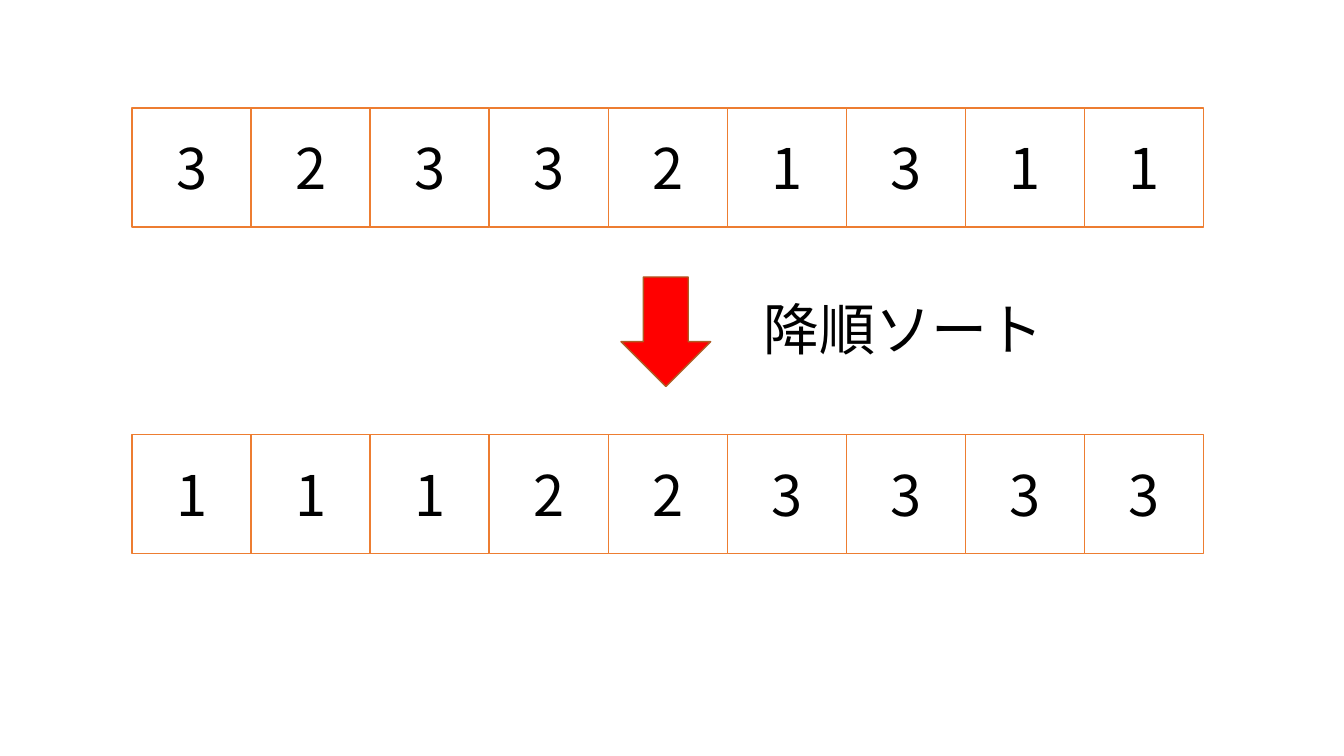
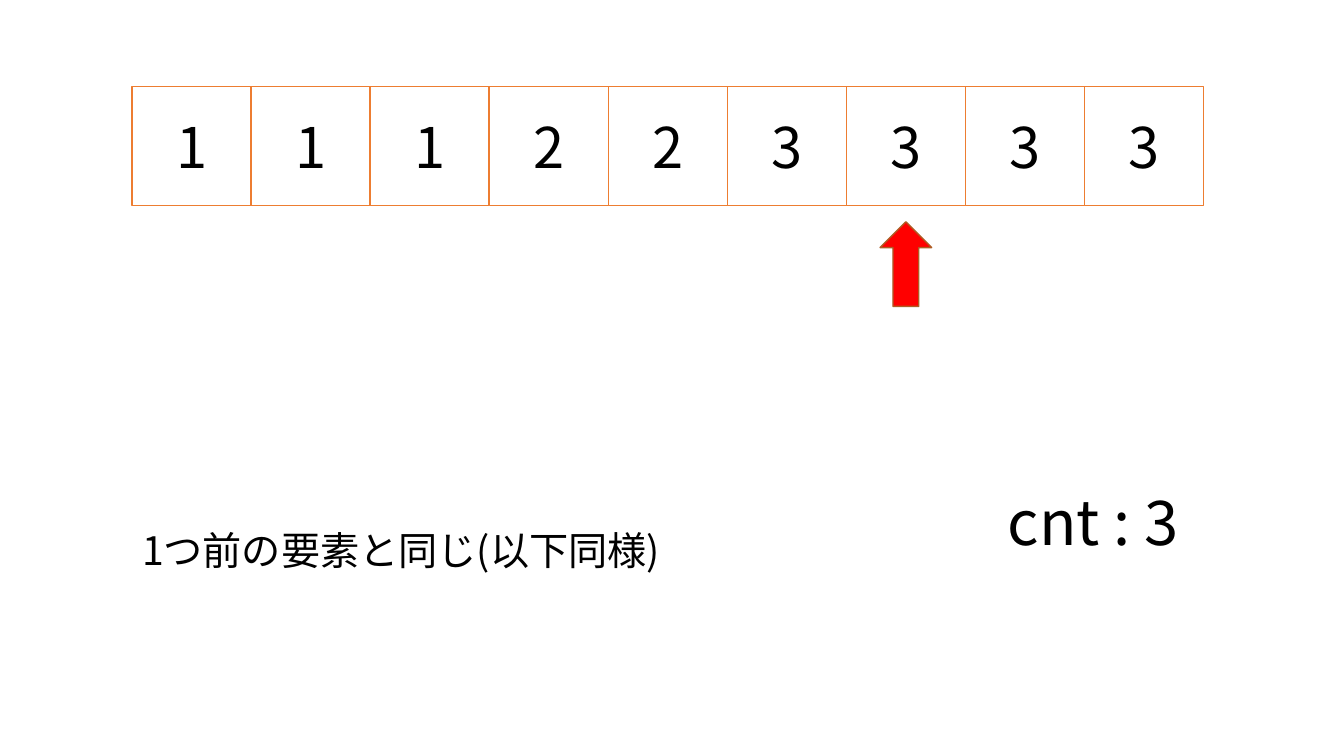
"""Build two slides on sorting an array and counting equal elements."""
from pptx import Presentation
from pptx import util as u
from pptx.dml.color import RGBColor
from pptx.enum import shapes, text

FONT = "Noto Sans CJK JP"
BLACK, WHITE, ORANGE, RED, BROWN = "000000", "FFFFFF", "ED7D31", "FF0000", "AF5C24"
CELL, ROW_LEFT = 3, 3.33
UNSORTED = (3, 2, 3, 3, 2, 1, 3, 1, 1)
SORTED = sorted(UNSORTED)
POINTED = 6
POINTED_CENTER = ROW_LEFT + (POINTED + 0.5) * CELL

SLIDES = [
    {
        "arrays": [(UNSORTED, 2.72), (SORTED, 10.95)],
        "arrows": [("DOWN_ARROW", 16.78, 6.98, 2.26, 2.76)],
        "labels": [("降順ソート", 40, False, (19, 7.29, 7.65, 1.96))],
    },
    {
        "arrays": [(SORTED, 2.18)],
        "arrows": [("UP_ARROW", POINTED_CENTER, 5.59, 1.3, 2.13)],
        "labels": [
            ("cnt : 3", 44, True, (25.15, 12.07, 5.18, 2.13)),
            ("1つ前の要素と同じ(以下同様)", 28, True, (3.33, 13.13, 15.88, 1.45)),
        ],
    },
]


def color(value):
    return RGBColor.from_string(value)


def cm(*lengths):
    return [u.Cm(length) for length in lengths]


def apply(target, formats):
    for key, value in formats.items():
        setattr(target, key, value)


def add_figure(parent, kind, box, fill, line):
    figure = parent.add_shape(getattr(shapes.MSO_SHAPE, kind), *cm(*box))
    figure.shadow.inherit = False
    figure.fill.solid()
    figure.fill.fore_color.rgb = color(fill)
    figure.line.color.rgb = color(line)
    figure.line.width = u.Pt(1)
    return figure


def write(holder, words, size, align, wrap=True):
    frame = holder.text_frame
    apply(frame, {"word_wrap": wrap, "vertical_anchor": text.MSO_ANCHOR.MIDDLE,
                  "margin_top": 0, "margin_bottom": 0})
    paragraph = frame.paragraphs[0]
    paragraph.alignment = align
    run = paragraph.add_run()
    run.text = words
    apply(run.font, {"name": FONT, "size": u.Pt(size)})
    run.font.color.rgb = color(BLACK)


def add_array(slide, values, top):
    row = slide.shapes.add_group_shape().shapes
    for index, value in enumerate(values):
        box = (ROW_LEFT + index * CELL, top, CELL, CELL)
        cell = add_figure(row, "RECTANGLE", box, WHITE, ORANGE)
        write(cell, str(value), 40, text.PP_ALIGN.CENTER)


def main():
    deck = Presentation()
    apply(deck, {"slide_width": u.Cm(33.87), "slide_height": u.Cm(19.05)})
    for content in SLIDES:
        slide = deck.slides.add_slide(deck.slide_layouts[6])
        for values, top in content["arrays"]:
            add_array(slide, values, top)
        for kind, center, top, width, height in content["arrows"]:
            box = (center - width / 2, top, width, height)
            add_figure(slide.shapes, kind, box, RED, BROWN)
        for words, size, wrap, box in content["labels"]:
            label = slide.shapes.add_textbox(*cm(*box))
            write(label, words, size, text.PP_ALIGN.LEFT, wrap)
    deck.save("out.pptx")


if __name__ == "__main__":
    main()
